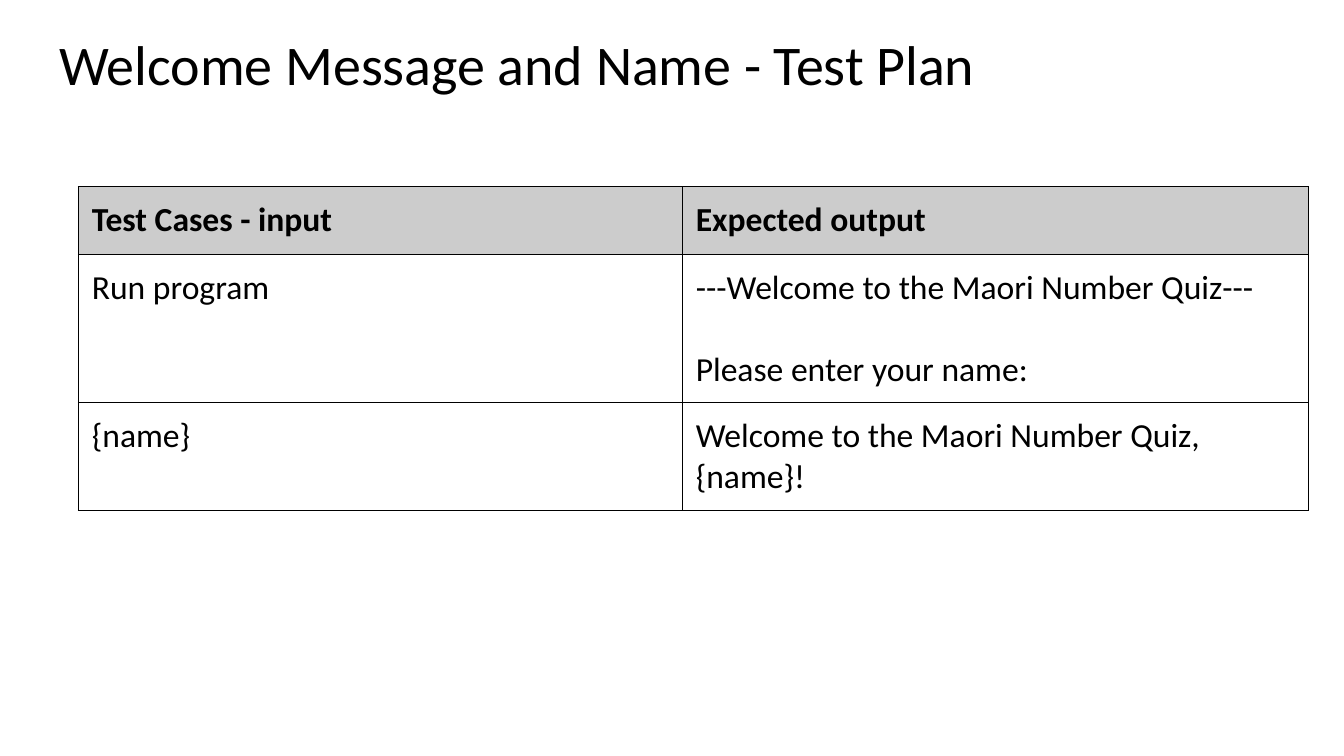
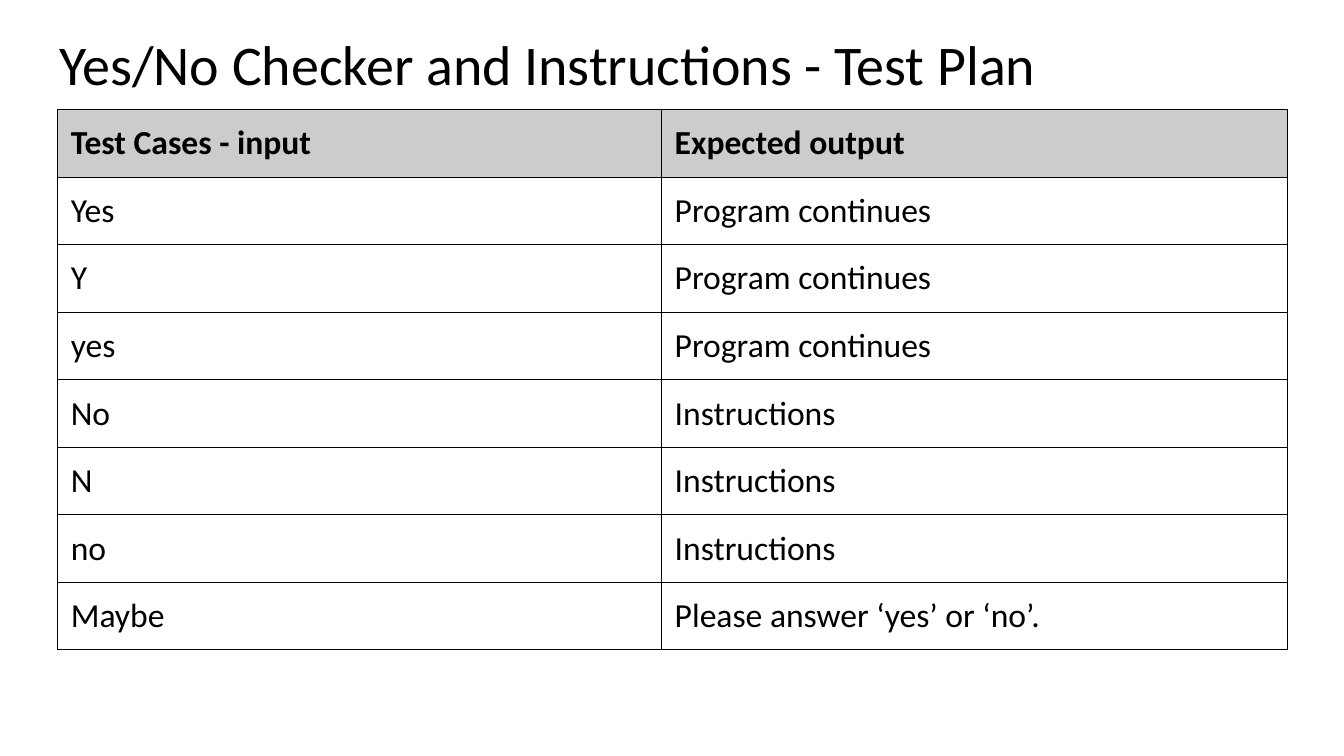
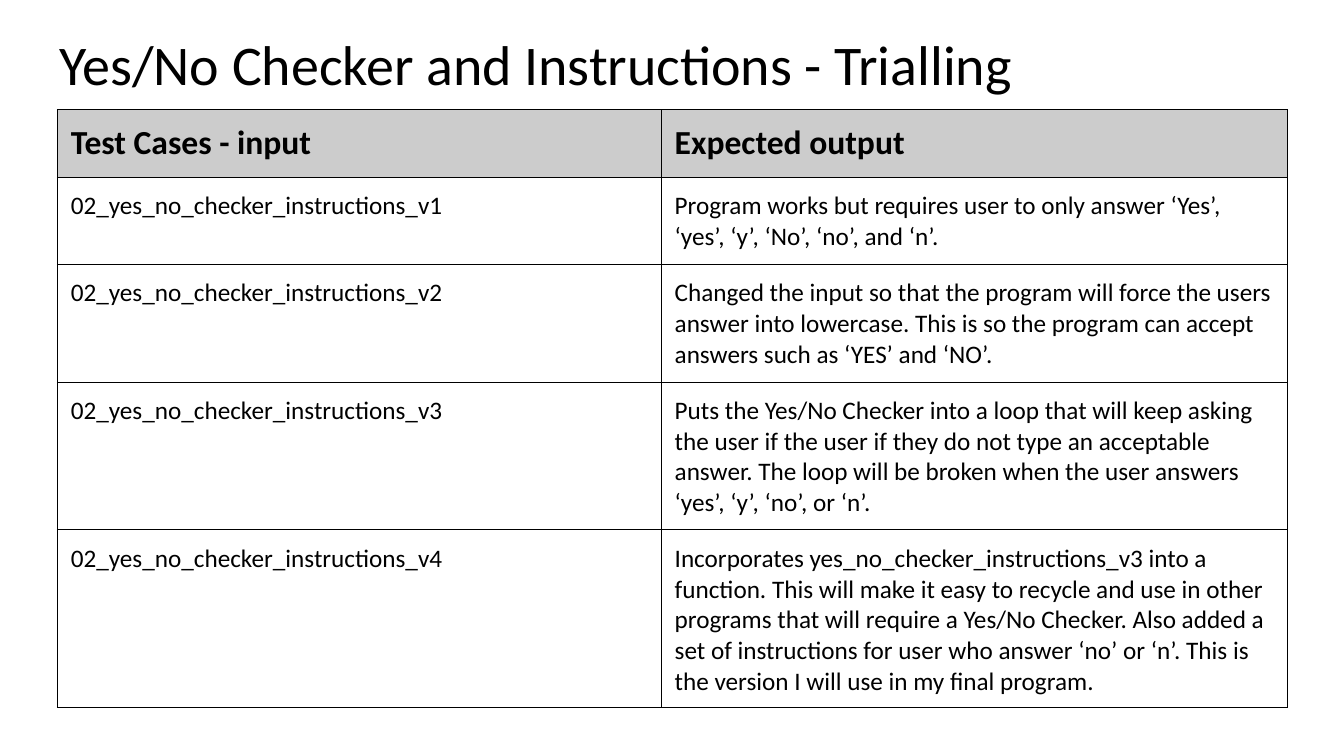
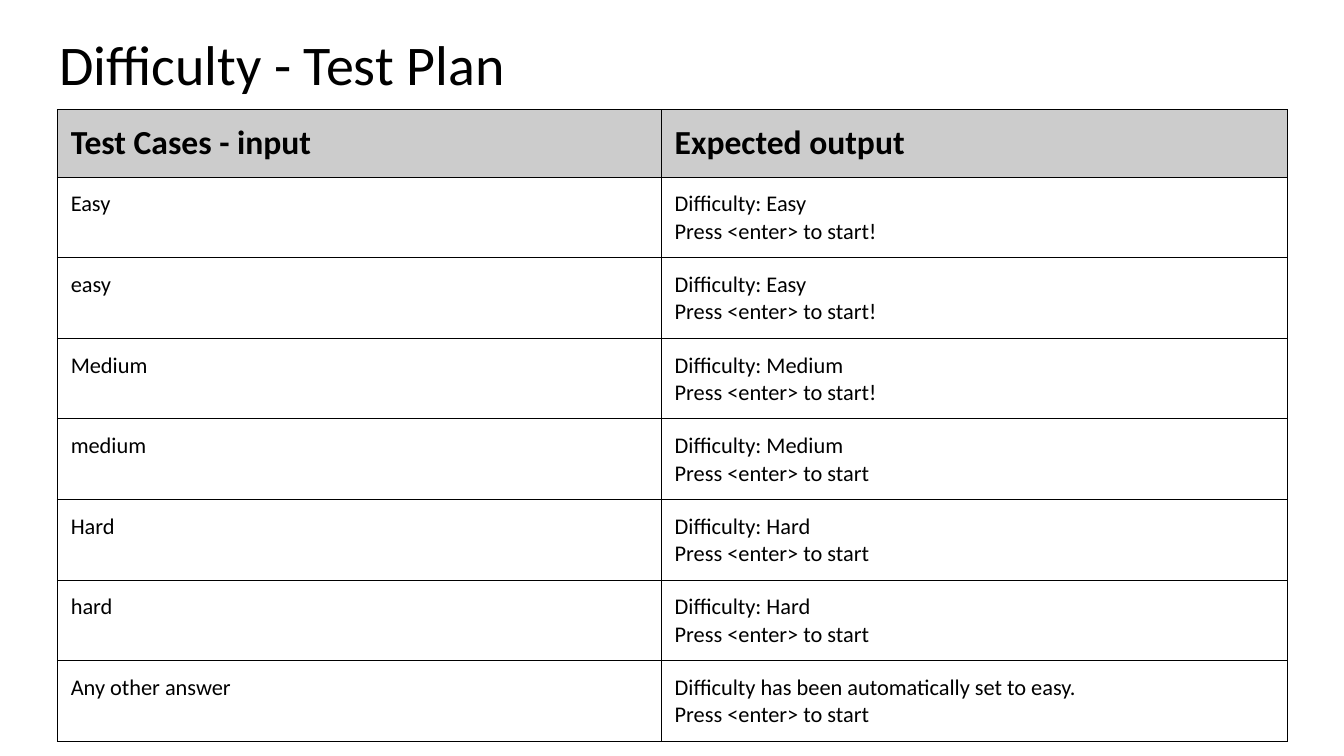
from pptx import Presentation
from pptx.dml.color import RGBColor
from pptx.enum.text import MSO_ANCHOR
from pptx.oxml.ns import qn
from pptx.util import Pt
from lxml import etree

TOP = MSO_ANCHOR.TOP

HEADER = ("Test Cases - input", "Expected output")
START = "Press <enter> to start"

SLIDES = [
    {"title": "Welcome Message and Name - Test Plan",
     "left": 56, "top": 133.25, "size": 24, "gap": 29.25,
     "rows": [
         ("Run program", "---Welcome to the Maori Number Quiz---\nPlease enter your name:"),
         ("{name}", "Welcome to the Maori Number Quiz, {name}!"),
     ]},
    {"title": "Yes/No Checker and Instructions - Test Plan", "size": 24,
     "rows": [(word, "Program continues") for word in ("Yes", "Y", "yes")]
     + [(word, "Instructions") for word in ("No", "N", "no")]
     + [("Maybe", "Please answer ‘yes’ or ‘no’.")]},
    {"title": "Yes/No Checker and Instructions - Trialling", "size": 18,
     "rows": [
         ("02_yes_no_checker_instructions_v1",
          "Program works but requires user to only answer ‘Yes’, ‘yes’, ‘y’, "
          "‘No’, ‘no’, and ‘n’."),
         ("02_yes_no_checker_instructions_v2",
          "Changed the input so that the program will force the users answer into "
          "lowercase. This is so the program can accept answers such as ‘YES’ and ‘NO’."),
         ("02_yes_no_checker_instructions_v3",
          "Puts the Yes/No Checker into a loop that will keep asking the user if the "
          "user if they do not type an acceptable answer. The loop will be broken when "
          "the user answers ‘yes’, ‘y’, ‘no’, or ‘n’."),
         ("02_yes_no_checker_instructions_v4",
          "Incorporates yes_no_checker_instructions_v3 into a function. This will make "
          "it easy to recycle and use in other programs that will require a Yes/No "
          "Checker. Also added a set of instructions for user who answer ‘no’ or ‘n’. "
          "This is the version I will use in my final program."),
     ]},
    {"title": "Difficulty - Test Plan", "size": 16,
     "rows": [
         ("Easy", f"Difficulty: Easy\n{START}!"),
         ("easy", f"Difficulty: Easy\n{START}!"),
         ("Medium", f"Difficulty: Medium\n{START}!"),
         ("medium", f"Difficulty: Medium\n{START}"),
         ("Hard", f"Difficulty: Hard\n{START}"),
         ("hard", f"Difficulty: Hard\n{START}"),
         ("Any other answer", f"Difficulty has been automatically set to easy.\n{START}"),
     ]},
]

THEME = {
    "font": "Calibri", "ink": "000000", "header": "CCCCCC",
    "title_size": 40, "header_size": 24, "border": 0.75, "inset": 9.6,
}
SLIDE_SIZE = (960, 540)
TITLE_BOX = (32.7, 17.3, 894.5, 60.1)
TABLE_LEFT, TABLE_TOP = 41, 78.25
COLUMNS = (431.4, 447.1)
ROW_HEIGHT = 48.25
FRAME = {f"margin_{side}": Pt(THEME["inset"]) for side in ("left", "right", "top", "bottom")}


def set_attrs(obj, values):
    for name, value in values.items():
        setattr(obj, name, value)


def write(tf, text, size, bold=False, gap=0, **paragraph):
    for i, line in enumerate(text.split("\n")):
        p = tf.add_paragraph() if i else tf.paragraphs[0]
        set_attrs(p, {"space_before": Pt(gap if i else 0), **paragraph})
        r = p.add_run()
        r.text = line
        set_attrs(r.font, {"name": THEME["font"], "size": Pt(size), "bold": bold})
        r.font.color.rgb = RGBColor.from_string(THEME["ink"])


def add_borders(cell):
    tcPr = cell._tc.get_or_add_tcPr()
    for i, side in enumerate(("lnL", "lnR", "lnT", "lnB")):
        ln = etree.Element(qn(f"a:{side}"), w=str(Pt(THEME["border"])))
        fill = etree.SubElement(ln, qn("a:solidFill"))
        etree.SubElement(fill, qn("a:srgbClr"), val=THEME["ink"])
        tcPr.insert(i, ln)


def add_title(s, text):
    tf = s.shapes.add_textbox(*map(Pt, TITLE_BOX)).text_frame
    set_attrs(tf, {"word_wrap": True, "vertical_anchor": TOP, **FRAME})
    write(tf, text, THEME["title_size"], line_spacing=0.9)


def add_test_table(s, rows, size, left=TABLE_LEFT, top=TABLE_TOP, gap=0):
    rows = [HEADER, *rows]
    table = s.shapes.add_table(
        len(rows), len(COLUMNS), Pt(left), Pt(top),
        Pt(sum(COLUMNS)), Pt(ROW_HEIGHT * len(rows))).table
    set_attrs(table, {"first_row": False, "horz_banding": False})
    for column, width in zip(table.columns, COLUMNS):
        column.width = Pt(width)
    for i, row in enumerate(rows):
        table.rows[i].height = Pt(ROW_HEIGHT)
        for j, text in enumerate(row):
            cell = table.cell(i, j)
            set_attrs(cell, {"vertical_anchor": TOP, **FRAME})
            if i == 0:
                cell.fill.solid()
                cell.fill.fore_color.rgb = RGBColor.from_string(THEME["header"])
                write(cell.text_frame, text, THEME["header_size"], bold=True)
            else:
                cell.fill.background()
                write(cell.text_frame, text, size, gap=gap)
            add_borders(cell)


def main():
    prs = Presentation()
    prs.slide_width, prs.slide_height = map(Pt, SLIDE_SIZE)
    for content in SLIDES:
        s = prs.slides.add_slide(prs.slide_layouts[6])
        add_title(s, content["title"])
        add_test_table(s, **{k: v for k, v in content.items() if k != "title"})
    prs.save("out.pptx")


if __name__ == "__main__":
    main()
